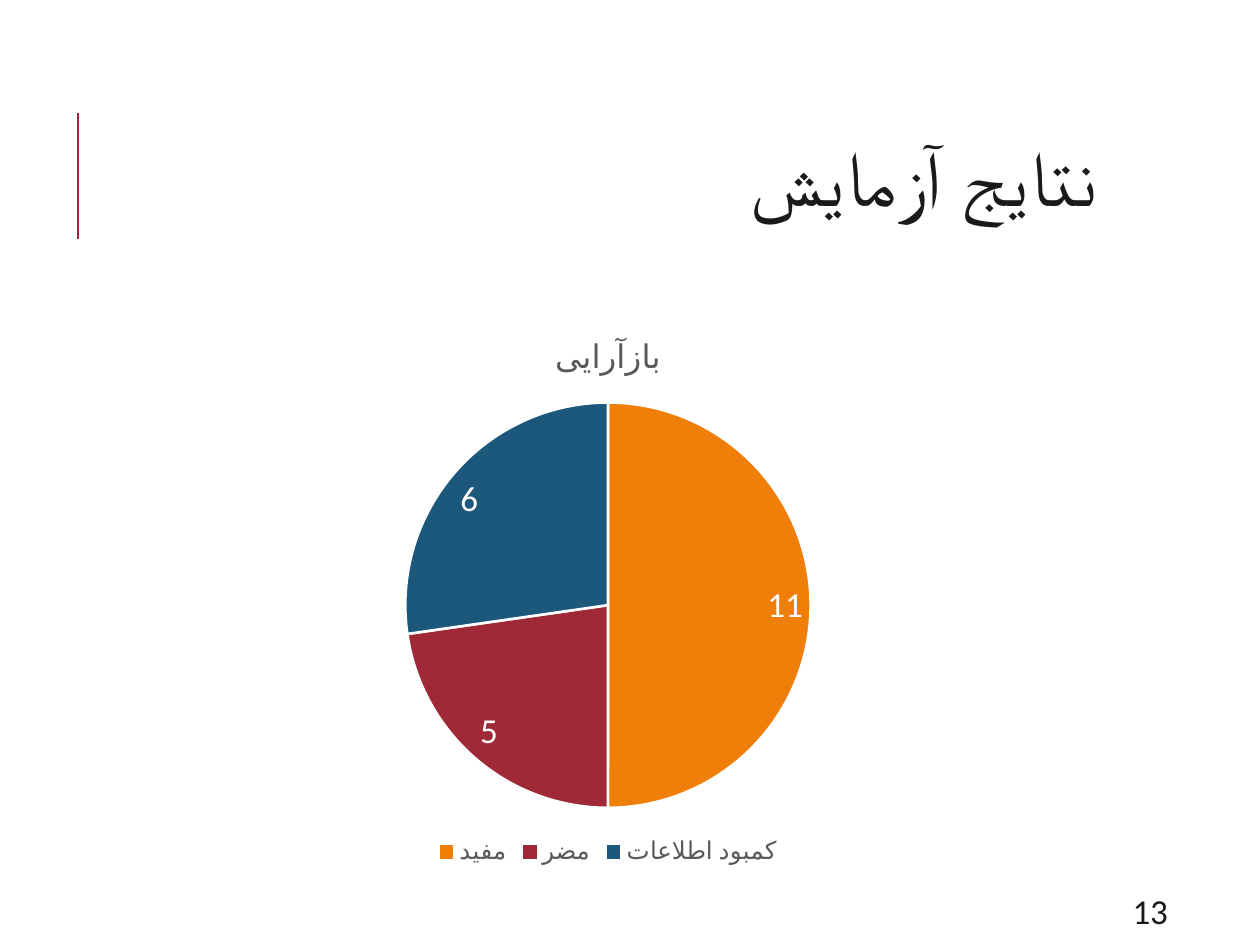
from pptx import Presentation
from pptx.chart.data import CategoryChartData
from pptx.dml.color import RGBColor
from pptx.enum import chart as c, shapes, text
from pptx.oxml import parse_xml
from pptx.oxml.ns import nsdecls
from pptx.util import Inches, Pt

INK, GREY, WHITE = "1A1A1A", "595959", "FFFFFF"
ORANGE, RED, BLUE = "F07F09", "9F2936", "1B587C"
RESULTS = {"مفید": (11, ORANGE), "مضر": (5, RED), "کمبود اطلاعات": (6, BLUE)}


def paint(color_format, color):
    """Give a colour format the colour of a hex string."""
    color_format.rgb = RGBColor.from_string(color)


def style_font(font, size, color):
    """Set the typeface, size, weight and colour of a font."""
    for name, value in {"name": "Calibri", "size": Pt(size), "bold": False}.items():
        setattr(font, name, value)
    paint(font.color, color)


def place(shape, box):
    """Move a shape to a box of left, top, width and height in inches."""
    for name, value in zip(("left", "top", "width", "height"), box):
        setattr(shape, name, Inches(value))


def set_frame(frame):
    """Wrap the text of a frame and centre it vertically."""
    frame.word_wrap = True
    frame.vertical_anchor = text.MSO_ANCHOR.MIDDLE


def add_accent(slide, left, top, height):
    """Draw the vertical accent line beside the title."""
    line = slide.shapes.add_connector(
        shapes.MSO_CONNECTOR.STRAIGHT,
        Inches(left), Inches(top + height), Inches(left), Inches(top))
    line.line.width = Pt(1.5)
    paint(line.line.color, RED)
    line._element.spPr.append(parse_xml(f"<a:effectLst {nsdecls('a')}/>"))


def add_title(slide, box):
    """Fill the title placeholder with right-to-left text."""
    title = slide.shapes.title
    place(title, box)
    set_frame(title.text_frame)
    paragraph = title.text_frame.paragraphs[0]
    paragraph.alignment = text.PP_ALIGN.RIGHT
    paragraph.line_spacing = 0.8
    paragraph._p.get_or_add_pPr().set("rtl", "1")
    run = paragraph.add_run()
    run.text = "نتایج آزمایش"
    style_font(run.font, 44, INK)
    run.font._element.set("spc", "100")


def add_results_chart(slide, box):
    """Add the pie chart of the results with its title, labels and legend."""
    data = CategoryChartData()
    data.categories = list(RESULTS)
    data.add_series("Series 1", [value for value, _ in RESULTS.values()])
    chart = slide.shapes.add_chart(
        c.XL_CHART_TYPE.PIE, *map(Inches, box), data).chart
    style_font(chart.font, 10, "000000")

    chart.has_title = True
    chart.chart_title.include_in_layout = False
    run = chart.chart_title.text_frame.paragraphs[0].add_run()
    run.text = "بازآرایی"
    style_font(run.font, 18.6, GREY)

    chart.has_legend = True
    chart.legend.position = c.XL_LEGEND_POSITION.BOTTOM
    chart.legend.include_in_layout = False
    style_font(chart.legend.font, 14, GREY)

    plot = chart.plots[0]
    plot.vary_by_categories = True
    for index, (_, color) in enumerate(RESULTS.values()):
        point_format = plot.series[0].points[index].format
        point_format.fill.solid()
        paint(point_format.fill.fore_color, color)
        point_format.line.width = Pt(1.5)
        paint(point_format.line.color, WHITE)

    labels = plot.series[0].data_labels
    labels.show_value = True
    labels.position = c.XL_LABEL_POSITION.INSIDE_END
    style_font(labels.font, 20, WHITE)


def add_page_number(slide, box):
    """Add the page number in the bottom corner."""
    number = slide.shapes.add_textbox(*map(Inches, box))
    set_frame(number.text_frame)
    run = number.text_frame.paragraphs[0].add_run()
    run.text = "13"
    style_font(run.font, 20, INK)


def main():
    """Build the slide and save it."""
    presentation = Presentation()
    presentation.slide_width, presentation.slide_height = Inches(10), Inches(7.5)
    slide = presentation.slides.add_slide(presentation.slide_layouts[5])
    add_accent(slide, 0.62, 0.9, 1)
    add_title(slide, (0.84, 0.64, 7.97, 1.64))
    add_results_chart(slide, (0.84, 2.5, 7.97, 4.4))
    add_page_number(slide, (8.89, 7.08, 0.8, 0.3))
    presentation.save("out.pptx")


if __name__ == "__main__":
    main()
